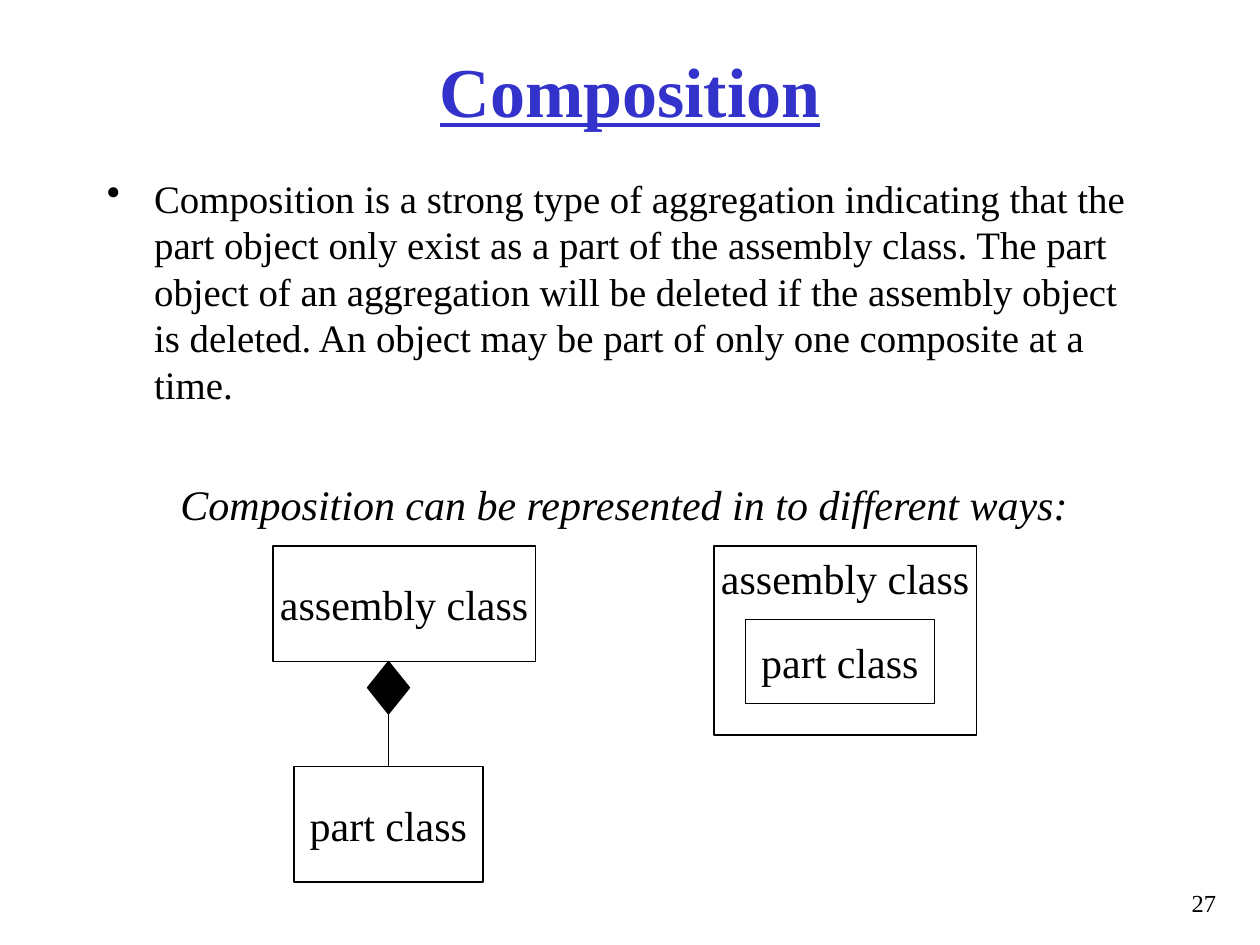
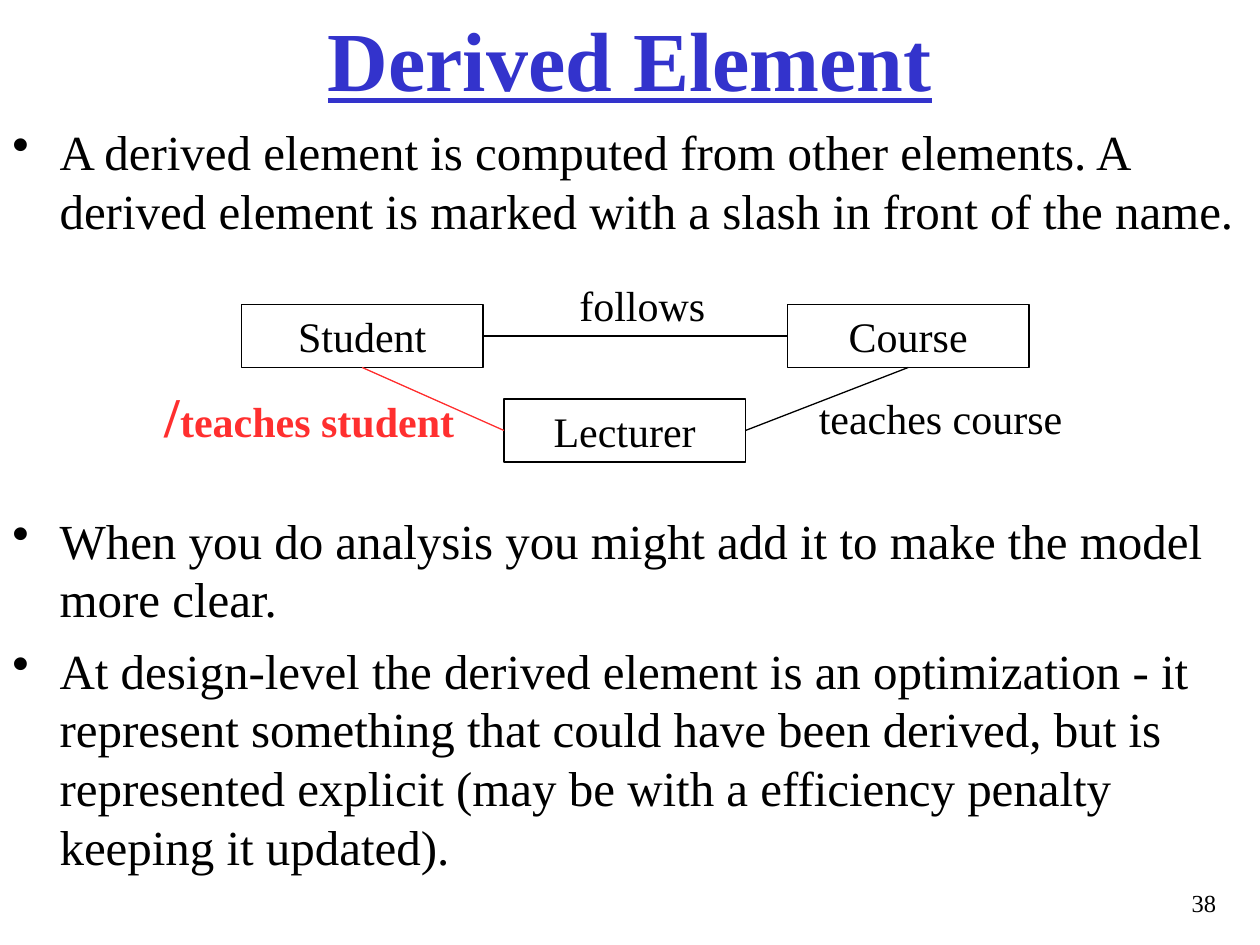
from dataclasses import dataclass

import pptx
import pptx.dml.color
import pptx.enum.shapes
import pptx.enum.text
import pptx.util
from lxml import etree

SHAPE = pptx.enum.shapes.MSO_SHAPE
ALIGN = pptx.enum.text.PP_ALIGN
ANCHOR = pptx.enum.text.MSO_ANCHOR
TOP, LEFT, BOTTOM, RIGHT = range(4)


@dataclass(frozen=True)
class Theme:
    """Colours, type sizes and the line weight of the deck."""
    font: str = "Times New Roman"
    ink: str = "000000"
    paper: str = "FFFFFF"
    heading: str = "3333CC"
    derived: str = "FF2F2F"
    label: float = 24
    slash: float = 32
    number: float = 14
    line: float = 0.75
    indent: float = 0.375


@dataclass(frozen=True)
class Box:
    """A region measured in grid columns and rows of a twelfth of an inch."""
    col: float
    row: float
    cols: float
    rows: float

    def inner(self, col, row, cols, rows):
        """Return a box placed relative to this one."""
        return Box(self.col + col, self.row + row, cols, rows)

    def frame(self):
        """Return left, top, width and height as lengths."""
        return [pptx.util.Inches(n / 12) for n in (self.col, self.row, self.cols, self.rows)]


THEME = Theme()
PAGE = Box(0, 0, 120, 90)
NUMBER = PAGE.inner(56, 84, 61, 4)


def rgb(colour):
    """Turn a hex string into a colour."""
    return pptx.dml.color.RGBColor.from_string(colour)


def write(paragraph, text, size, colour=THEME.ink, **formats):
    """Add a run of text in the theme font."""
    run = paragraph.add_run()
    run.text = text
    values = dict(name=THEME.font, size=pptx.util.Pt(size), **formats)
    for key, value in values.items():
        setattr(run.font, key, value)
    run.font.color.rgb = rgb(colour)


def add_text(slide, box, wrap=False, align=ALIGN.LEFT):
    """Add a text box and return its text frame."""
    frame = slide.shapes.add_textbox(*box.frame()).text_frame
    frame.word_wrap = wrap
    frame.paragraphs[0].alignment = align
    return frame


def add_label(slide, box, text, **formats):
    """Add a one-line diagram label."""
    write(add_text(slide, box).paragraphs[0], text, THEME.label, **formats)


def add_bullets(slide, box, texts, size, gap=7):
    """Fill a box with bulleted paragraphs."""
    frame = add_text(slide, box, wrap=True)
    for index, text in enumerate(texts):
        paragraph = frame.add_paragraph() if index else frame.paragraphs[0]
        properties = paragraph._p.get_or_add_pPr()
        indent = pptx.util.Inches(THEME.indent)
        properties.set("marL", str(indent))
        properties.set("indent", str(-indent))
        bullet = etree.SubElement(properties, pptx.oxml.ns.qn("a:buChar"))
        bullet.set("char", "•")
        if index:
            paragraph.space_before = pptx.util.Pt(gap)
        write(paragraph, text, size)


def add_shape(slide, kind, box, fill):
    """Add an outlined shape without a shadow."""
    shape = slide.shapes.add_shape(kind, *box.frame())
    shape.shadow.inherit = False
    shape.fill.solid()
    shape.fill.fore_color.rgb = rgb(fill)
    shape.line.color.rgb = rgb(THEME.ink)
    shape.line.width = pptx.util.Pt(THEME.line)
    return shape


def add_class(slide, box, name, anchor=ANCHOR.MIDDLE):
    """Add a class rectangle with its name."""
    shape = add_shape(slide, SHAPE.RECTANGLE, box, THEME.paper)
    frame = shape.text_frame
    frame.word_wrap = False
    frame.vertical_anchor = anchor
    frame.paragraphs[0].alignment = ALIGN.CENTER
    write(frame.paragraphs[0], name, THEME.label)
    return shape


def join(slide, start, start_side, end, end_side, colour=THEME.ink):
    """Join the sides of two shapes with a straight line."""
    line = slide.shapes.add_connector(pptx.enum.shapes.MSO_CONNECTOR.STRAIGHT, 0, 0, 0, 0)
    line.begin_connect(start, start_side)
    line.end_connect(end, end_side)
    line.line.color.rgb = rgb(colour)
    line.line.width = pptx.util.Pt(THEME.line)
    etree.SubElement(line._element.spPr, pptx.oxml.ns.qn("a:effectLst"))


def add_page(deck, title, title_box, title_size, number):
    """Add a slide with its title and page number."""
    slide = deck.slides.add_slide(deck.slide_layouts[5])
    heading = slide.shapes.title
    heading.left, heading.top, heading.width, heading.height = title_box.frame()
    frame = heading.text_frame
    frame.vertical_anchor = ANCHOR.MIDDLE
    frame.paragraphs[0].alignment = ALIGN.CENTER
    write(frame.paragraphs[0], title, title_size, THEME.heading, bold=True, underline=True)
    footer = add_text(slide, NUMBER, wrap=True, align=ALIGN.RIGHT)
    write(footer.paragraphs[0], str(number), THEME.number)
    return slide


def draw_diamond_notation(slide, box):
    """Draw an assembly linked to its part by a filled diamond."""
    add_class(slide, box.inner(0, 0, 25, 11), "assembly class")
    diamond = add_shape(slide, SHAPE.DIAMOND, box.inner(9, 11, 4, 5), THEME.ink)
    part = add_class(slide, box.inner(2, 21, 18, 11), "part class")
    join(slide, diamond, BOTTOM, part, TOP)


def draw_nested_notation(slide, box):
    """Draw a part inside its assembly."""
    add_class(slide, box, "assembly class", ANCHOR.TOP)
    add_class(slide, box.inner(3, 7, 18, 8), "part class")


def draw_derived_association(slide, box):
    """Draw three classes, their associations and the derived one."""
    student, course, lecturer = (
        add_class(slide, box.inner(col, row, 23, 6), name)
        for name, col, row in (("Student", 0, 0), ("Course", 52, 0), ("Lecturer", 25, 9)))
    join(slide, student, RIGHT, course, LEFT)
    join(slide, lecturer, RIGHT, course, BOTTOM)
    join(slide, student, BOTTOM, lecturer, LEFT, THEME.derived)
    add_label(slide, box.inner(31, -3, 14.4, 6), "follows")
    add_label(slide, box.inner(53.8, 7.8, 25.6, 6), "teaches course")
    derived = add_text(slide, box.inner(-8.5, 6.75, 30, 7.7)).paragraphs[0]
    for text, size in (("/", THEME.slash), ("teaches student", THEME.label)):
        write(derived, text, size, THEME.derived, bold=True)


def build_composition(deck):
    """Build the slide on composition."""
    slide = add_page(deck, "Composition", PAGE.inner(9, 1, 102, 15), 40, 27)
    add_bullets(slide, PAGE.inner(9, 16, 102, 20), [
        "Composition is a strong type of aggregation indicating that the part object only "
        "exist as a part of the assembly class. The part object of an aggregation will be "
        "deleted if the assembly object is deleted. An object may be part of only one "
        "composite at a time."], 22.2)
    add_label(slide, PAGE.inner(16, 45, 87.4, 6),
              "Composition can be represented in to different ways:", italic=True)
    draw_diamond_notation(slide, PAGE.inner(26, 52, 25, 32))
    draw_nested_notation(slide, PAGE.inner(68, 52, 25, 18))


def build_derived_element(deck):
    """Build the slide on derived elements."""
    slide = add_page(deck, "Derived Element", PAGE.inner(9, 0, 102, 11), 48, 38)
    add_bullets(slide, PAGE.inner(0, 11, 120, 17), [
        "A derived element is computed from other elements. A derived element is marked "
        "with a slash in front of the name."], 28)
    draw_derived_association(slide, PAGE.inner(23, 29, 75, 15))
    add_bullets(slide, PAGE.inner(0, 48, 120, 17), [
        "When you do analysis you might add it to make the model more clear.",
        "At design-level the derived element is an optimization - it represent something "
        "that could have been derived, but is represented explicit (may be with a "
        "efficiency penalty keeping it updated)."], 28)


def main():
    """Build and save the deck."""
    deck = pptx.Presentation()
    _, _, deck.slide_width, deck.slide_height = PAGE.frame()
    build_composition(deck)
    build_derived_element(deck)
    deck.save("out.pptx")


if __name__ == "__main__":
    main()
